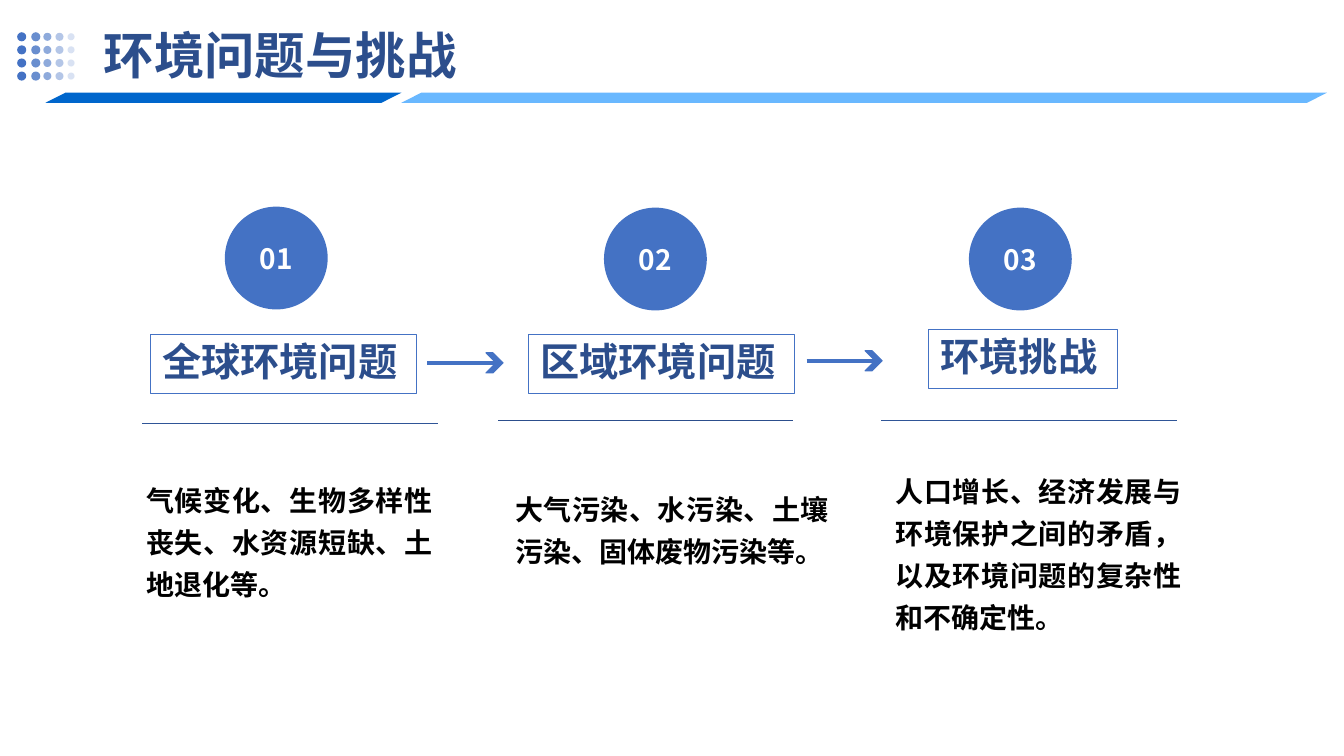
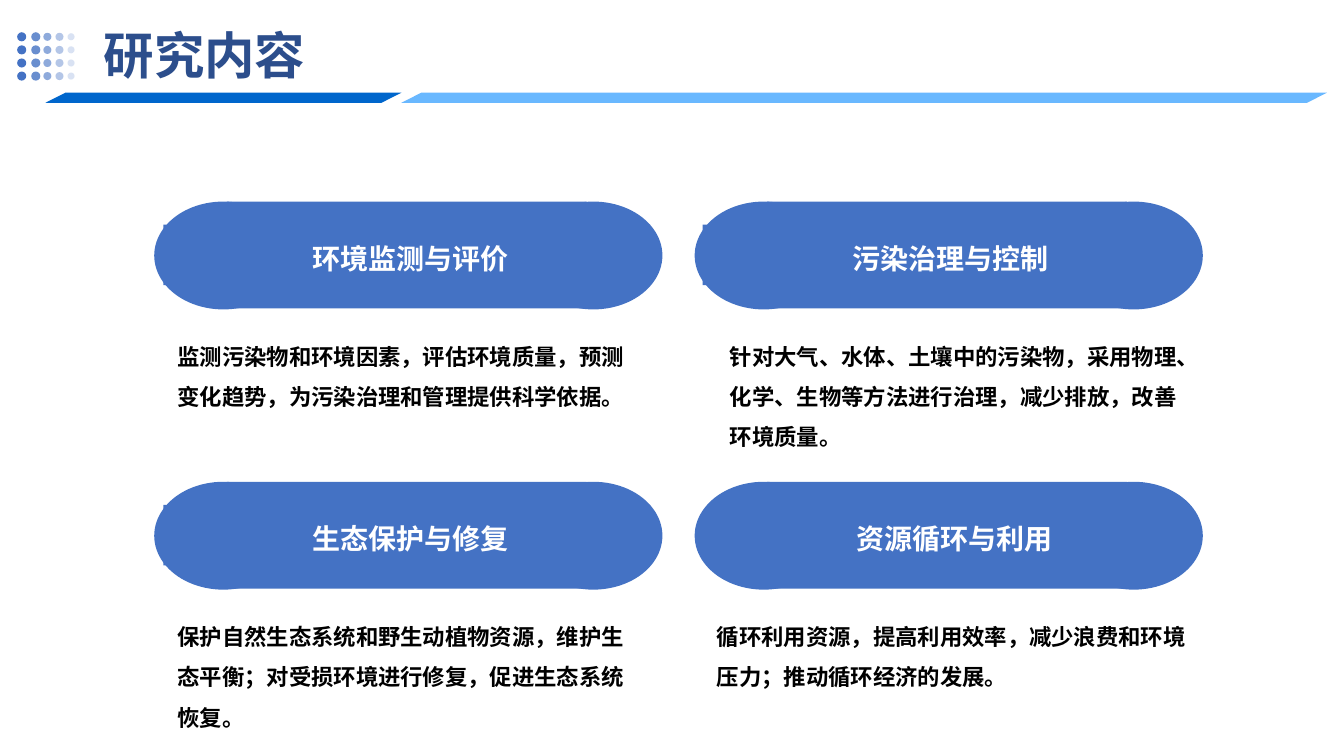
from lxml import etree
from pptx import Presentation
from pptx.dml.color import RGBColor
from pptx.enum.shapes import MSO_CONNECTOR, MSO_SHAPE
from pptx.enum.text import MSO_ANCHOR, PP_ALIGN
from pptx.oxml.ns import qn
from pptx.util import Inches, Pt

# Colours and fonts
BLUE = RGBColor(0x44, 0x72, 0xC4)
NAVY = RGBColor(0x2C, 0x4E, 0x8C)
RULE_BLUE = RGBColor(0x2F, 0x55, 0x97)
BAND_DARK = RGBColor(0x00, 0x66, 0xCC)
BAND_LIGHT = RGBColor(0x69, 0xB8, 0xFF)
BLACK = RGBColor(0, 0, 0)
WHITE = RGBColor(0xFF, 0xFF, 0xFF)
LATIN_FONT = "Arial"
CJK_FONT = "Noto Sans CJK SC"

# Enum members
OVAL = MSO_SHAPE.OVAL
RECTANGLE = MSO_SHAPE.RECTANGLE
PARALLELOGRAM = MSO_SHAPE.PARALLELOGRAM
STRAIGHT = MSO_CONNECTOR.STRAIGHT
TOP, MIDDLE = MSO_ANCHOR.TOP, MSO_ANCHOR.MIDDLE
LEFT, CENTER, JUSTIFY = PP_ALIGN.LEFT, PP_ALIGN.CENTER, PP_ALIGN.JUSTIFY

# Text insets: left, top, right, bottom
TITLE_INSETS = (0.1, 0.05, 0.1, 0.05)
STEP_INSETS = (0.12, 0.06, 0.12, 0.06)
TOPIC_INSETS = (0.14, 0.14, 0.06, 0.14)

# Decorative dots: centre, diameter and opacity of each column
DOT_COLUMNS = [(0.215, 0.09, 100), (0.355, 0.09, 80), (0.47, 0.08, 60),
               (0.59, 0.08, 40), (0.705, 0.07, 20)]
DOT_ROWS, DOT_TOP, DOT_PITCH = 4, 0.365, 0.13

# Steps: number, circle (left, top), heading, heading box (left, top, width),
# rule (left, top, colour), body, body box (left, top, width, height)
STEPS = [
    ("01", (2.23, 2.05), "全球环境问题", (1.49, 3.32, 2.64), (1.41, 4.2, RULE_BLUE),
     "气候变化、生物多样性丧失、水资源短缺、土地退化等。", (1.33, 4.65, 3.08, 1.35)),
    ("02", (5.99, 2.06), "区域环境问题", (5.24, 3.32, 2.64), (4.94, 4.17, NAVY),
     "大气污染、水污染、土壤污染、固体废物污染等。", (4.99, 4.74, 3.35, 0.94)),
    ("03", (9.61, 2.06), "环境挑战", (9.21, 3.27, 1.87), (8.74, 4.17, RULE_BLUE),
     "人口增长、经济发展与环境保护之间的矛盾，以及环境问题的复杂性和不确定性。",
     (8.76, 4.56, 3.08, 1.78)),
]
ARROWS = [(4.24, 3.6), (8, 3.58)]

# Topics: label, label (left, width), body, body (left, width)
TOPICS = [
    ("环境监测与评价", (1.62, 4.83),
     "监测污染物和环境因素，评估环境质量，预测变化趋势，为污染治理和管理提供科学依据。",
     (1.62, 4.83)),
    ("污染治理与控制", (6.97, 4.83),
     "针对大气、水体、土壤中的污染物，采用物理、化学、生物等方法进行治理，减少排放，改善环境质量。",
     (7.1, 4.83)),
    ("生态保护与修复", (1.62, 4.83),
     "保护自然生态系统和野生动植物资源，维护生态平衡；对受损环境进行修复，促进生态系统恢复。",
     (1.62, 4.83)),
    ("资源循环与利用", (7.08, 4.7),
     "循环利用资源，提高利用效率，减少浪费和环境压力；推动循环经济的发展。",
     (6.97, 4.96)),
]
PILL_LEFTS, PILL_TOPS = (1.53, 6.89), (2, 4.78)


def paint(shape, fill=None, line=None, opacity=100):
    shape.shadow.inherit = False
    if fill is None:
        shape.fill.background()
    else:
        shape.fill.solid()
        shape.fill.fore_color.rgb = fill
    if opacity < 100:
        color = shape.fill._xPr.find(qn("a:solidFill"))[0]
        etree.SubElement(color, qn("a:alpha"), val=str(opacity * 1000))
    if line is None:
        shape.line.fill.background()
    else:
        shape.line.color.rgb = line
        shape.line.width = Pt(0.75)


def add_shape(page, kind, left, top, width, height, **style):
    shape = page.shapes.add_shape(kind, Inches(left), Inches(top), Inches(width), Inches(height))
    paint(shape, **style)
    return shape


def write(shape, text, size, color, insets, align=LEFT, anchor=TOP, spacing=1.0,
          font=LATIN_FONT):
    frame = shape.text_frame
    frame.word_wrap = True
    frame.vertical_anchor = anchor
    frame.margin_left, frame.margin_top, frame.margin_right, frame.margin_bottom = map(
        Inches, insets)
    para = frame.paragraphs[0]
    para.text = text
    para.alignment = align
    para.line_spacing = spacing
    para.font.size = Pt(size)
    para.font.bold = True
    para.font.color.rgb = color
    para.font.name = font
    defaults = para._p.find(qn("a:pPr")).find(qn("a:defRPr"))
    etree.SubElement(defaults, qn("a:ea"), typeface=CJK_FONT)


def add_text(page, left, top, width, height, *content, **style):
    box = page.shapes.add_textbox(Inches(left), Inches(top), Inches(width), Inches(height))
    write(box, *content, **style)


def add_rule(page, left, top, width, color, weight):
    rule = page.shapes.add_connector(
        STRAIGHT, Inches(left), Inches(top), Inches(left + width), Inches(top))
    rule.line.color.rgb = color
    rule.line.width = Pt(weight)
    etree.SubElement(rule._element.spPr, qn("a:effectLst"))


def add_arrow(page, left, middle):
    add_rule(page, left, middle, 0.67, BLUE, 3)
    tip = left + 0.75
    corners = [(tip - 0.17, -0.1), (tip - 0.1, -0.1), (tip, 0),
               (tip - 0.1, 0.1), (tip - 0.17, 0.1), (tip - 0.07, 0)]
    points = [(Inches(x), Inches(middle + dy)) for x, dy in corners]
    builder = page.shapes.build_freeform(*points[0])
    builder.add_line_segments(points[1:], close=True)
    paint(builder.convert_to_shape(), fill=BLUE, line=BLUE)


def add_page(deck, title):
    """Blank page with the shared title, dots and bands."""
    page = deck.slides.add_slide(deck.slide_layouts[6])
    add_text(page, 0.93, 0.19, 11.86, 0.71, title, 36, NAVY, TITLE_INSETS)
    for row in range(DOT_ROWS):
        for center, size, opacity in DOT_COLUMNS:
            top = DOT_TOP + row * DOT_PITCH - size / 2
            add_shape(page, OVAL, center - size / 2, top, size, size,
                      fill=BLUE, opacity=opacity)
    for left, width, color in ((0.45, 3.53, BAND_DARK), (3.98, 9.18, BAND_LIGHT)):
        band = add_shape(page, PARALLELOGRAM, left, 0.92, width, 0.1, fill=color)
        band.adjustments[0] = 1.97
        band.rotation = 180
    return page


def add_step(page, number, circle_at, heading, heading_at, rule_at, body, body_at):
    circle = add_shape(page, OVAL, *circle_at, 1.02, 1.02, fill=BLUE)
    write(circle, number, 20, WHITE, STEP_INSETS, CENTER, MIDDLE, font=CJK_FONT)
    frame = add_shape(page, RECTANGLE, *heading_at, 0.58, line=BLUE)
    write(frame, heading, 28, NAVY, STEP_INSETS, spacing=0.96)
    left, top, color = rule_at
    add_rule(page, left, top, 2.93, color, 0.75)
    add_text(page, *body_at, body, 20, BLACK, STEP_INSETS, align=JUSTIFY, spacing=1.25)


def add_topic(page, left, top, label, label_span, body, body_span):
    # Pill made of two round ends and a middle
    for end in (left, left + 3.67):
        add_shape(page, OVAL, end, top, 1.37, 1.07, fill=BLUE)
    add_shape(page, RECTANGLE, left + 0.72, top, 3.57, 1.06, fill=BLUE)
    label_left, label_width = label_span
    plate = add_shape(page, RECTANGLE, label_left, top + 0.23, label_width, 0.6, fill=BLUE)
    write(plate, label, 20, WHITE, TOPIC_INSETS, CENTER, MIDDLE, spacing=1.2)
    body_left, body_width = body_span
    add_text(page, body_left, top + 1.13, body_width, 1.38, body, 16, BLACK, TOPIC_INSETS,
             spacing=1.5)


def main():
    deck = Presentation()
    deck.slide_width, deck.slide_height = Inches(13.33), Inches(7.5)

    # Problems and challenges
    page = add_page(deck, "环境问题与挑战")
    for step in STEPS:
        add_step(page, *step)
    for arrow in ARROWS:
        add_arrow(page, *arrow)

    # Research topics
    page = add_page(deck, "研究内容")
    for index, topic in enumerate(TOPICS):
        row, column = divmod(index, 2)
        add_topic(page, PILL_LEFTS[column], PILL_TOPS[row], *topic)

    deck.save("out.pptx")


if __name__ == "__main__":
    main()
